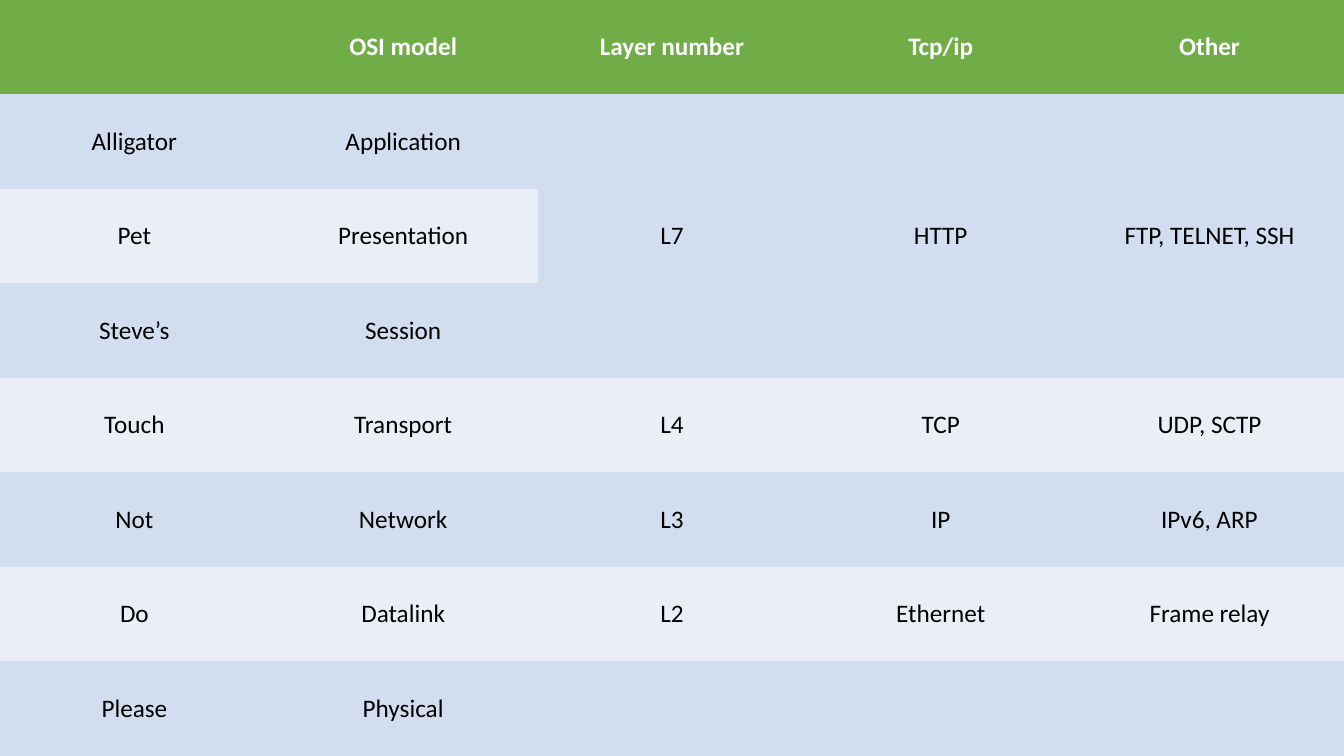
import pptx
import pptx.dml.color
import pptx.enum.text
import pptx.util

WIDE, HIGH = 1344, 756
SCALE = 914400 / 100.8
COLORS = {"head": "70AD47", "dark": "D2DEEF", "light": "EAEFF7",
          "white": "FFFFFF", "black": "000000"}
PLAIN = "{2D5ABB26-0587-4C30-8999-92F81FD0307C}"


def emu(pixels):
    return pptx.util.Emu(round(pixels * SCALE))


def tint(name):
    return pptx.dml.color.RGBColor.from_string(COLORS[name])


class Board:
    def __init__(self, slide, font, size):
        self.slide = slide
        self.font = font
        self.size = pptx.util.Pt(size)

    def cell(self, cell, text, fill, color, bold):
        cell.fill.solid()
        cell.fill.fore_color.rgb = tint(fill)
        cell.vertical_anchor = pptx.enum.text.MSO_ANCHOR.MIDDLE
        cell.text_frame.text = text
        for para in cell.text_frame.paragraphs:
            para.alignment = pptx.enum.text.PP_ALIGN.CENTER
            for run in para.runs:
                run.font.name = self.font
                run.font.size = self.size
                run.font.bold = bold
                run.font.color.rgb = tint(color)

    def table(self, left, top, width, height, rows):
        count = len(rows[0])
        frame = self.slide.shapes.add_table(
            len(rows), count, emu(left), emu(top), emu(width), emu(height))
        table = frame.table
        table.horz_banding = False
        table._tbl.tblPr.find(pptx.oxml.ns.qn("a:tableStyleId")).text = PLAIN
        for col in table.columns:
            col.width = emu(width / count)
        for i, row in enumerate(rows):
            table.rows[i].height = emu(height / len(rows))
            head = i == 0
            fill = "head" if head else "dark" if i % 2 else "light"
            color = "white" if head else "black"
            for j, text in enumerate(row):
                self.cell(table.cell(i, j), text, fill, color, head)
        return table


LAYERS = [
    ("", "OSI model", "Layer number", "Tcp/ip", "Other"),
    ("Alligator", "Application", "L7", "HTTP", "FTP, TELNET, SSH"),
    ("Pet", "Presentation", "", "", ""),
    ("Steve’s", "Session", "", "", ""),
    ("Touch", "Transport", "L4", "TCP", "UDP, SCTP"),
    ("Not", "Network", "L3", "IP", "IPv6, ARP"),
    ("Do", "Datalink", "L2", "Ethernet", "Frame relay"),
    ("Please", "Physical", "", "", ""),
]

deck = pptx.Presentation()
deck.slide_width, deck.slide_height = emu(WIDE), emu(HIGH)
board = Board(deck.slides.add_slide(deck.slide_layouts[6]), "Calibri", 18)
table = board.table(0, 0, WIDE, HIGH, LAYERS)
for col in range(2, 5):
    table.cell(1, col).merge(table.cell(3, col))
deck.save("out.pptx")
